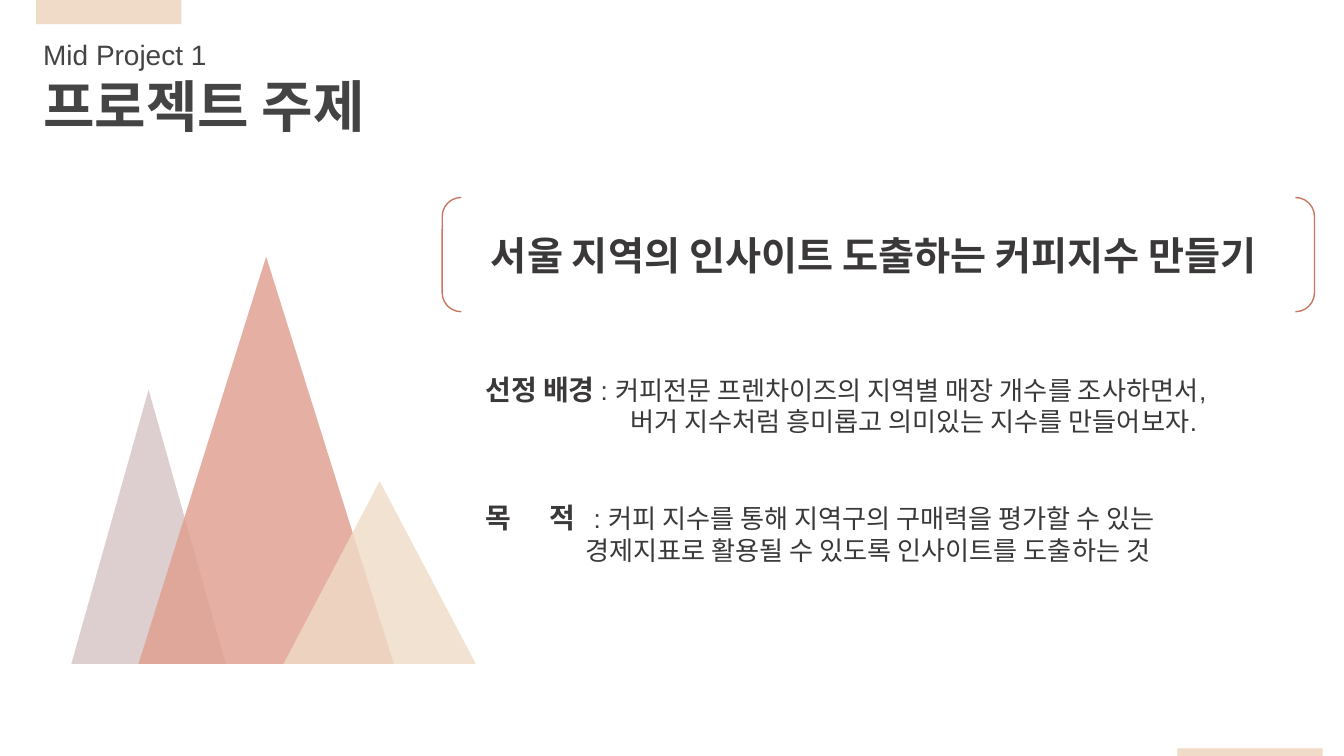
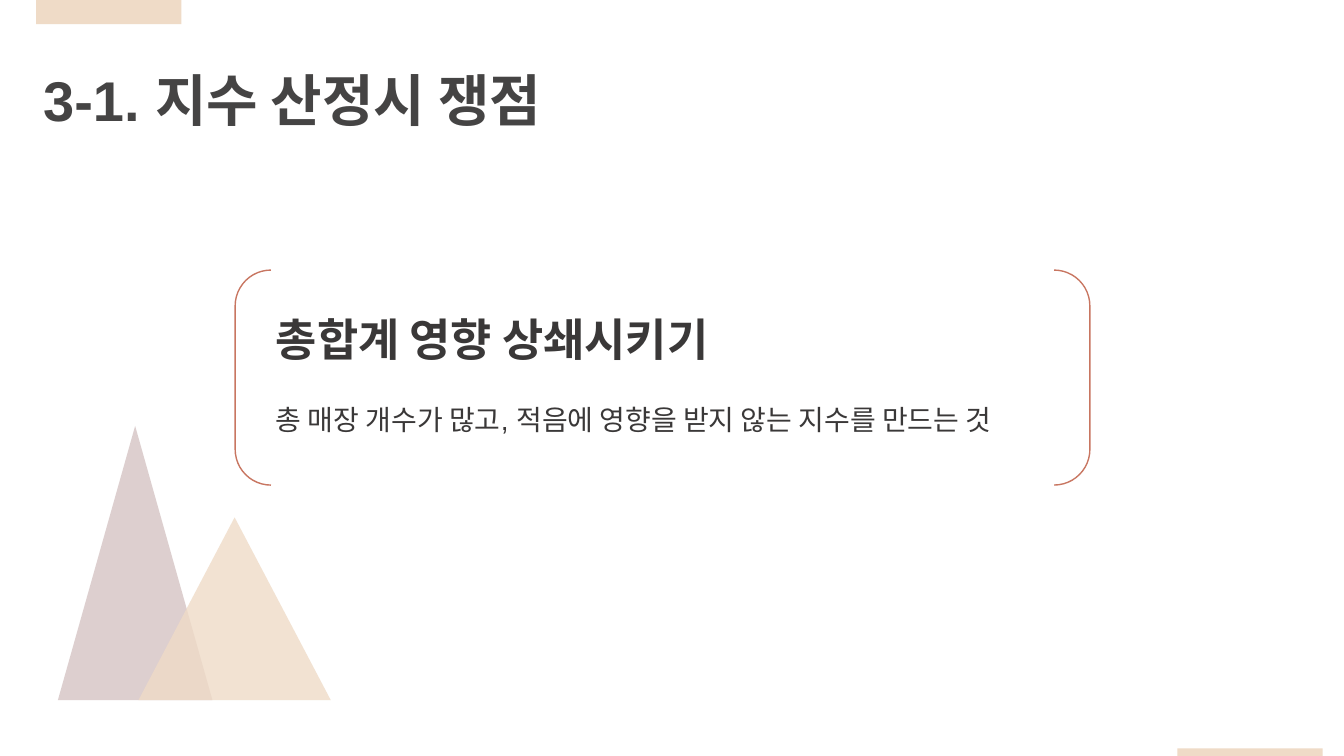
from lxml import etree
from pptx import Presentation
from pptx.dml.color import RGBColor
from pptx.enum.shapes import MSO_SHAPE
from pptx.enum.text import MSO_ANCHOR, PP_ALIGN
from pptx.oxml.ns import qn
from pptx.util import Pt

RECTANGLE = MSO_SHAPE.RECTANGLE
TRIANGLE = MSO_SHAPE.ISOSCELES_TRIANGLE
BRACKETS = MSO_SHAPE.DOUBLE_BRACKET
TOP, MIDDLE = MSO_ANCHOR.TOP, MSO_ANCHOR.MIDDLE
LEFT, CENTER = PP_ALIGN.LEFT, PP_ALIGN.CENTER

SAND = RGBColor(0xEF, 0xDB, 0xC7)
MAUVE = RGBColor(0xD5, 0xC4, 0xC4)
CORAL = RGBColor(0xDF, 0x9D, 0x8C)
RUST = RGBColor(0xC8, 0x76, 0x61)
INK = RGBColor(0x3A, 0x38, 0x38)
TITLE_GRAY = RGBColor(0x45, 0x44, 0x44)


class Deck:
    font_name = "Arial"

    def __init__(self, width, height):
        self.presentation = Presentation()
        self.presentation.slide_width = Pt(width)
        self.presentation.slide_height = Pt(height)
        self.slide = None

    def add_slide(self):
        layout = self.presentation.slide_layouts[6]
        self.slide = self.presentation.slides.add_slide(layout)
        self.shape(RECTANGLE, 19.4, 0, 77.8, 13, SAND)
        self.shape(RECTANGLE, 630.7, 401, 77.8, 4, SAND)

    def shape(self, kind, left, top, width, height, color, shapes=None):
        shapes = self.slide.shapes if shapes is None else shapes
        shape = shapes.add_shape(kind, Pt(left), Pt(top), Pt(width), Pt(height))
        shape.shadow.inherit = False
        shape.fill.solid()
        shape.fill.fore_color.rgb = color
        shape.line.fill.background()
        return shape

    def mountains(self, base, peaks, grouped=False):
        shapes = self.slide.shapes
        if grouped:
            shapes = shapes.add_group_shape().shapes
        for left, width, height, color in peaks:
            shape = self.shape(TRIANGLE, left, base - height, width, height, color, shapes)
            fill_color = shape._element.spPr.find(".//" + qn("a:srgbClr"))
            etree.SubElement(fill_color, qn("a:alpha"), val="80000")

    def brackets(self, left, top, width, height):
        shape = self.shape(BRACKETS, left, top, width, height, SAND)
        shape.fill.background()
        shape.line.color.rgb = RUST
        shape.line.width = Pt(0.75)
        return shape

    def text_box(self, left, top, width, height):
        box = self.slide.shapes.add_textbox(Pt(left), Pt(top), Pt(width), Pt(height))
        return self.frame(box)

    def frame(self, shape, anchor=TOP):
        frame = shape.text_frame
        frame.word_wrap = True
        frame.vertical_anchor = anchor
        frame.margin_left = frame.margin_right = Pt(5.2)
        frame.margin_top = frame.margin_bottom = Pt(2.8)
        return frame

    def paragraph(self, frame, text, size, bold=False, color=INK, label="",
                  align=LEFT, before=0, indent=0, tabs=()):
        paragraph = frame.paragraphs[0]
        if paragraph.runs:
            paragraph = frame.add_paragraph()
        properties = paragraph._p.get_or_add_pPr()
        if indent:
            properties.set("marL", str(Pt(indent)))
        if tabs:
            tab_list = etree.SubElement(properties, qn("a:tabLst"))
            for position in tabs:
                etree.SubElement(tab_list, qn("a:tab"), pos=str(Pt(position)), algn="l")
        paragraph.alignment = align
        if before:
            paragraph.space_before = Pt(before)
        paragraph.font.name = self.font_name
        paragraph.font.size = Pt(size)
        paragraph.font.bold = bold
        paragraph.font.color.rgb = color
        if label:
            run = paragraph.add_run()
            run.text = label
            run.font.size = Pt(15)
            run.font.bold = True
        paragraph.add_run().text = text

    def title(self, text, top, width, height, kicker=""):
        frame = self.text_box(18, top, width, height)
        if kicker:
            self.paragraph(frame, kicker, 15, color=TITLE_GRAY)
        self.paragraph(frame, text, 30, bold=True, color=TITLE_GRAY)


def topic_slide(deck):
    deck.add_slide()
    peaks = [(38.2, 82.8, 146.9, MAUVE), (74.2, 136.8, 218.2, CORAL),
             (151.9, 103, 97.9, SAND)]
    deck.mountains(355.7, peaks, grouped=True)

    details = deck.text_box(254.9, 196.6, 449.3, 126.7)
    deck.paragraph(details, " : 커피전문 프렌차이즈의 지역별 매장 개수를 조사하면서,", 14,
                   label="선정 배경")
    deck.paragraph(details, "버거 지수처럼 흥미롭고 의미있는 지수를 만들어보자.", 14, indent=77.5)
    deck.paragraph(details, "\t: 커피 지수를 통해 지역구의 구매력을 평가할 수 있는", 14,
                   label="목\t적", before=34, tabs=(34.5, 58))
    deck.paragraph(details, "경제지표로 활용될 수 있도록 인사이트를 도출하는 것", 14, indent=53.5)

    headline = deck.frame(deck.brackets(236.9, 105.8, 467.3, 61.2), MIDDLE)
    deck.paragraph(headline, "서울 지역의 인사이트 도출하는 커피지수 만들기 ", 21, bold=True,
                   align=CENTER)
    deck.title("프로젝트 주제", 17.3, 280, 59.8, kicker="Mid Project 1")


def issue_slide(deck):
    deck.add_slide()
    deck.mountains(375.1, [(31, 82.8, 146.9, MAUVE), (74.2, 103, 97.9, SAND)])
    issue = deck.text_box(142.6, 164.2, 452.2, 73.4)
    deck.paragraph(issue, "총합계 영향 상쇄시키기", 24, bold=True)
    deck.paragraph(issue, "총 매장 개수가 많고, 적음에 영향을 받지 않는 지수를 만드는 것", 15,
                   before=20)
    deck.title("3-1. 지수 산정시 쟁점", 32.4, 333.4, 41.8)
    deck.brackets(126, 144.7, 457.9, 115.2)


def main():
    deck = Deck(720, 405)
    topic_slide(deck)
    issue_slide(deck)
    deck.presentation.save("out.pptx")


if __name__ == "__main__":
    main()
